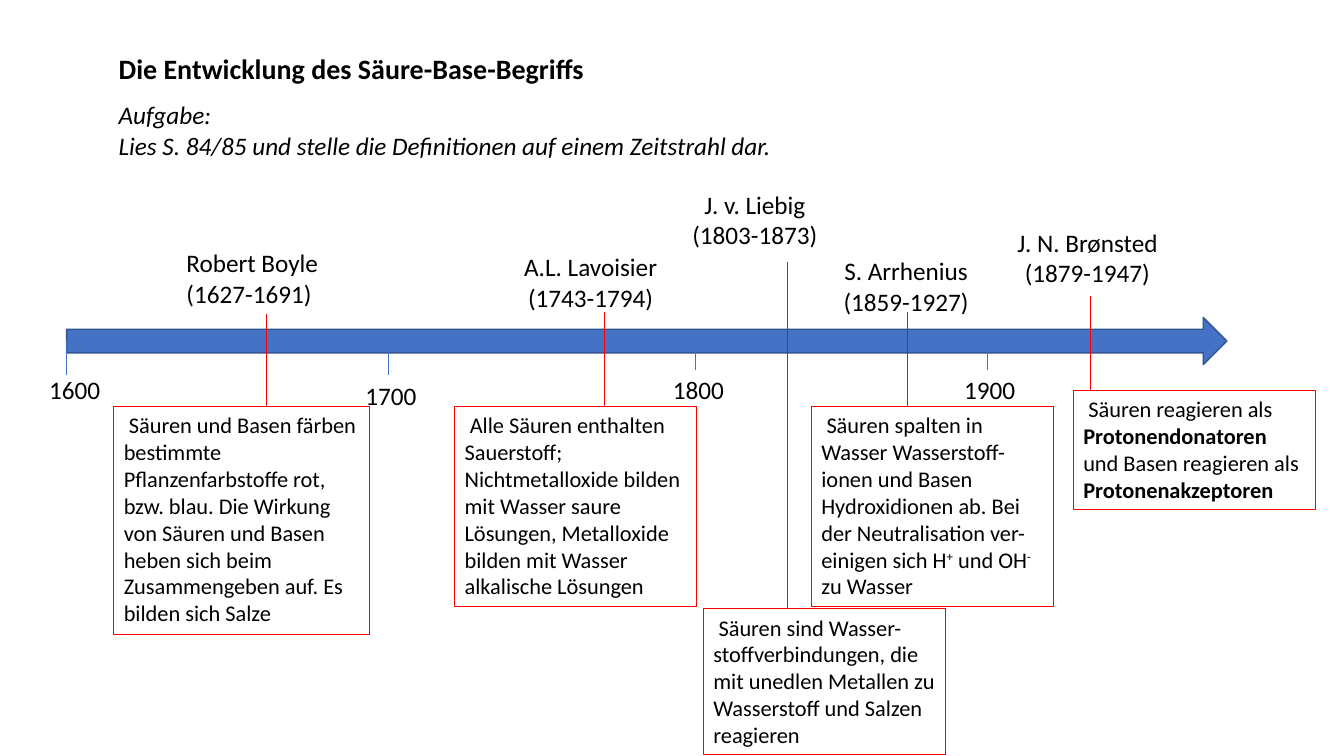
from dataclasses import dataclass

from pptx import Presentation
from pptx import util as u
from pptx.dml import color
from pptx.enum import shapes, text
from pptx.oxml import ns, xmlchemy

Cm = u.Cm


@dataclass(frozen=True)
class Theme:
    """Colours, font and type sizes of the slide."""
    font: str = "Calibri"
    ink: str = "000000"
    arrow: str = "4472C4"
    arrow_edge: str = "325491"
    accent: str = "FF0000"
    title: int = 20
    label: int = 18
    body: int = 16
    hairline: float = 0.5
    frame: float = 0.75
    edge: float = 1


THEME = Theme()
LEFT, CENTER = text.PP_ALIGN.LEFT, text.PP_ALIGN.CENTER
BOLD, ITALIC, RAISED = {"bold": True}, {"italic": True}, {"baseline": "30000"}

YEARS = [
    ("1600", 1.68, 9.45, 0.69, 9.32),
    ("1700", 9.78, 9.45, 0.82, 9.45),
    ("1800", 17.53, 9.32, 0.82, 9.32),
    ("1900", 24.87, 9.32, 0.82, 9.32),
]

CHEMISTS = [
    dict(name="Robert Boyle", life="(1627-1691)", align=LEFT,
         label=(4.45, 6.12), line=(6.71, 7.92), box=(2.87, 10.24, 6.45, 5.74),
         runs=[("Säuren und Basen färben bestimmte Pflanzenfarbstoffe rot, bzw. blau. "
                "Die Wirkung von Säuren und Basen heben sich beim Zusammengeben auf. "
                "Es bilden sich Salze", {})]),
    dict(name="A.L. Lavoisier", life="(1743-1794)", align=CENTER,
         label=(12.65, 6.22), line=(15.24, 7.87), box=(11.46, 10.24, 6.1, 5.05),
         runs=[("Alle Säuren enthalten Sauerstoff; Nichtmetalloxide bilden mit Wasser "
                "saure Lösungen, Metalloxide bilden mit Wasser alkalische Lösungen", {})]),
    dict(name="J. v. Liebig", life="(1803-1873)", align=CENTER,
         label=(16.79, 4.65), line=(19.84, 6.6), box=(17.73, 15.34, 6.1, 3.68),
         runs=[("Säuren sind Wasser-stoffverbindungen, die mit unedlen Metallen zu "
                "Wasserstoff und Salzen reagieren", {})]),
    dict(name="S. Arrhenius", life="(1859-1927)", align=CENTER,
         label=(20.6, 6.32), line=(22.86, 7.87), box=(20.45, 10.24, 6.1, 5.05),
         runs=[("Säuren spalten in Wasser Wasserstoff-ionen und Basen Hydroxidionen ab. "
                "Bei der Neutralisation ver-einigen sich H", {}), ("+", RAISED),
               (" und OH", {}), ("-", RAISED), (" zu Wasser", {})]),
    dict(name="J. N. Brønsted", life="(1879-1947)", align=CENTER,
         label=(25.17, 5.61), line=(27.48, 7.47), box=(27.05, 9.83, 6.1, 3.0),
         runs=[("Säuren reagieren als ", {}), ("Protonendonatoren", BOLD),
               (" und Basen reagieren als ", {}), ("Protonenakzeptoren", BOLD)]),
]


def rgb(value):
    """Turn a hex string into a colour."""
    return color.RGBColor.from_string(value)


def set_all(target, values):
    """Set attributes of an object from a dict."""
    for name, value in values.items():
        setattr(target, name, value)


def write(shape, paragraphs, size, align=LEFT, indent=0):
    """Fill a shape with paragraphs made of (text, format) runs."""
    frame = shape.text_frame
    set_all(frame, {"word_wrap": True, "vertical_anchor": text.MSO_ANCHOR.TOP})
    for index, runs in enumerate(paragraphs):
        paragraph = frame.add_paragraph() if index else frame.paragraphs[0]
        paragraph.alignment = align
        if indent:
            paragraph._p.get_or_add_pPr().set("indent", str(Cm(indent)))
        for words, extra in runs:
            run = paragraph.add_run()
            run.text = words
            values = {"name": THEME.font, "size": u.Pt(size), **extra}
            baseline = values.pop("baseline", None)
            set_all(run.font, values)
            run.font.color.rgb = rgb(THEME.ink)
            if baseline:
                run._r.get_or_add_rPr().set("baseline", baseline)


def add_text(slide, box, paragraphs, size, align=LEFT):
    """Add a text box at the given box."""
    shape = slide.shapes.add_textbox(*map(Cm, box))
    write(shape, paragraphs, size, align)


def add_line(slide, x, top, bottom, line_color):
    """Add a thin vertical line."""
    line = slide.shapes.add_connector(
        shapes.MSO_CONNECTOR.STRAIGHT, *map(Cm, (x, bottom, x, top)))
    line.line.color.rgb = rgb(line_color)
    line.line.width = u.Pt(THEME.hairline)
    line._element.spPr.append(xmlchemy.OxmlElement("a:effectLst"))


def add_heading(slide, box):
    """Place the title and the task below it."""
    left, top, width, height = box
    add_text(slide, (left, top, width, 1.12),
             [[("Die Entwicklung des Säure-Base-Begriffs", BOLD)]], THEME.title)
    task = ["Aufgabe:", "Lies S. 84/85 und stelle die Definitionen auf einem Zeitstrahl dar."]
    add_text(slide, (left, top + 1.22, width, height - 1.22),
             [[(words, ITALIC)] for words in task], THEME.label)


def add_axis(slide, box):
    """Place the time arrow with its year marks."""
    arrow = slide.shapes.add_shape(shapes.MSO_SHAPE.RIGHT_ARROW, *map(Cm, box))
    arrow.shadow.inherit = False
    arrow.fill.solid()
    arrow.fill.fore_color.rgb = rgb(THEME.arrow)
    arrow.line.color.rgb = rgb(THEME.arrow_edge)
    arrow.line.width = u.Pt(THEME.edge)
    middle = box[1] + box[3] / 2
    for year, x, bottom, offset, label_top in YEARS:
        add_line(slide, x, middle, bottom, THEME.arrow)
        add_text(slide, (x - offset, label_top, 2, 1.02), [[(year, {})]], THEME.label)


def add_chemist(slide, chemist):
    """Place a name, its line and the framed definition."""
    box = chemist["box"]
    add_text(slide, (*chemist["label"], 4.47, 1.8),
             [[(chemist[key], {})] for key in ("name", "life")],
             THEME.label, chemist["align"])
    add_line(slide, *chemist["line"], box[1], THEME.accent)
    frame = slide.shapes.add_shape(shapes.MSO_SHAPE.RECTANGLE, *map(Cm, box))
    frame.shadow.inherit = False
    frame.fill.background()
    frame.line.color.rgb = rgb(THEME.accent)
    frame.line.width = u.Pt(THEME.frame)
    write(frame, [chemist["runs"]], THEME.body, indent=0.13)


def main():
    """Build the slide and save it."""
    presentation = Presentation()
    set_all(presentation, {"slide_width": Cm(33.87), "slide_height": Cm(19.05)})
    slide = presentation.slides.add_slide(presentation.slide_layouts[6])
    add_heading(slide, (2.74, 1.17, 24.74, 3.02))
    add_axis(slide, (1.68, 8, 29.24, 1.19))
    for chemist in CHEMISTS:
        add_chemist(slide, chemist)
    presentation.save("out.pptx")


if __name__ == "__main__":
    main()
